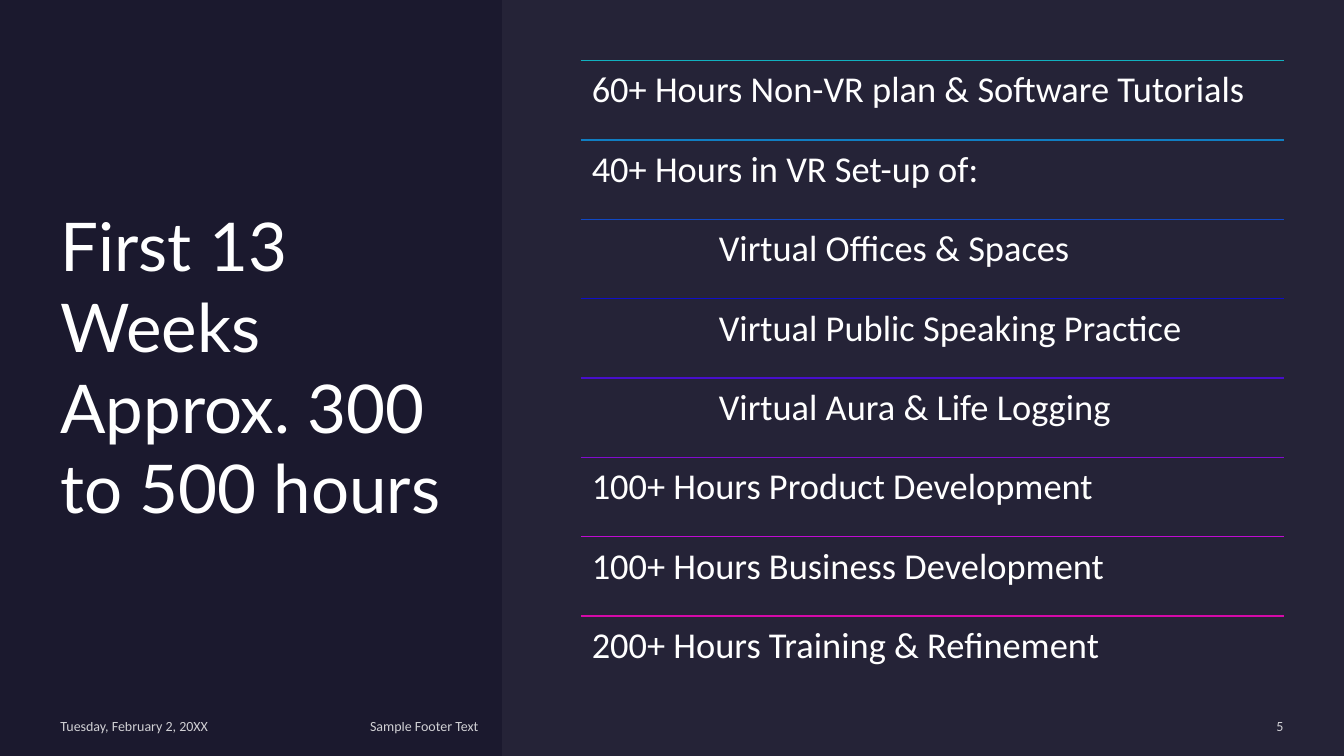
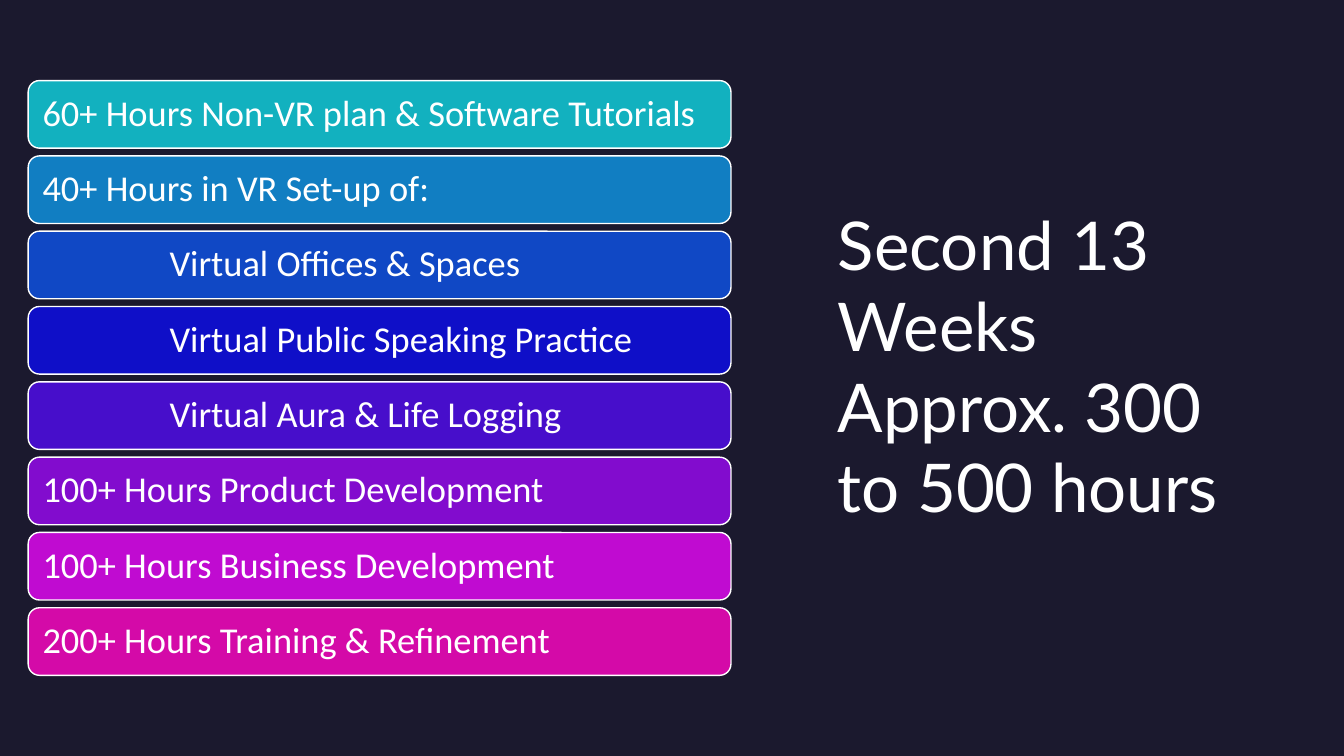
from lxml.etree import SubElement
from pptx import Presentation
from pptx.dml.color import RGBColor
from pptx.enum.shapes import MSO_CONNECTOR as Connector, MSO_SHAPE as Shape
from pptx.enum.text import MSO_ANCHOR as Anchor, PP_ALIGN as Align
from pptx.oxml.ns import qn
from pptx.util import Inches, Pt

NAVY, LAVENDER, WHITE = "1B192E", "E4E3F0", "FFFFFF"
TITLE_FONT, BODY_FONT = "Lato", "Calibri"
SUB_INDENT = 1.26

# Activity, rule or bar colour, whether it is a sub-item
ACTIVITIES = [
    ("60+ Hours Non-VR plan & Software Tutorials", "12B1BF", False),
    ("40+ Hours in VR Set-up of:", "117EC2", False),
    ("Virtual Offices & Spaces", "1048C5", True),
    ("Virtual Public Speaking Practice", "0F0FC8", True),
    ("Virtual Aura & Life Logging", "470ECB", True),
    ("100+ Hours Product Development", "820CCE", False),
    ("100+ Hours Business Development", "C00BD1", False),
    ("200+ Hours Training & Refinement", "D40AA8", False),
]


def color(hex_code):
    return RGBColor.from_string(hex_code)


def set_opacity(shape, percent):
    for node in shape.element.iter(qn("a:srgbClr")):
        SubElement(node, qn("a:alpha"), val=str(percent * 1000))


def write(shape, text, size, font=BODY_FONT, anchor=Anchor.MIDDLE,
          align=Align.LEFT, inset=(0, 0), spacing=None, indent=0):
    """Put one styled paragraph in a shape; inset is (sides, top and bottom)."""
    frame = shape.text_frame
    frame.word_wrap = True
    frame.vertical_anchor = anchor
    frame.margin_left = frame.margin_right = Inches(inset[0])
    frame.margin_top = frame.margin_bottom = Inches(inset[1])
    frame.text = text
    para = frame.paragraphs[0]
    para.alignment = align
    if spacing:
        para.line_spacing = spacing
    if indent:
        properties = para._p.get_or_add_pPr()
        properties.set("marL", str(Inches(indent)))
        properties.set("indent", "0")
    for span in para.runs:
        span.font.size = Pt(size)
        span.font.name = font
        span.font.color.rgb = color(WHITE)


def add_text(page, box, text, size, **style):
    shape = page.shapes.add_textbox(*map(Inches, box))
    write(shape, text, size, **style)
    return shape


def add_block(page, kind, box, fill):
    block = page.shapes.add_shape(kind, *map(Inches, box))
    block.shadow.inherit = False
    block.fill.solid()
    block.fill.fore_color.rgb = color(fill)
    block.line.fill.background()
    return block


def add_page(deck):
    page = deck.slides.add_slide(deck.slide_layouts[6])
    page.background.fill.solid()
    page.background.fill.fore_color.rgb = color(NAVY)
    return page


def add_title(page, box, text):
    add_text(page, box, text, 48, font=TITLE_FONT)


def add_footer(page, top, number):
    for left, width, text, align in [
        (0.6, 2.88, "Tuesday, February 2, 20XX", Align.LEFT),
        (3.67, 6.98, "Sample Footer Text", Align.LEFT),
        (10.88, 1.85, number, Align.RIGHT),
    ]:
        note = add_text(page, (left, top, width, 0.17), text, 10, align=align)
        set_opacity(note, 80)


def add_ruled_list(page, box):
    """Rows of equal height, each under a coloured rule."""
    left, top, width, height = box
    row_height = height / len(ACTIVITIES)
    for index, (text, hue, is_sub) in enumerate(ACTIVITIES):
        y = top + index * row_height
        rule = page.shapes.add_connector(
            Connector.STRAIGHT, Inches(left), Inches(y), Inches(left + width), Inches(y))
        rule.line.color.rgb = color(hue)
        rule.line.width = Pt(1)
        SubElement(rule.element.spPr, qn("a:effectLst"))
        add_text(page, (left, y, width, row_height), text, 26, anchor=Anchor.TOP,
                 inset=(0.11, 0.11), spacing=0.9, indent=SUB_INDENT * is_sub)


def add_bar_list(page, box, bar_height=0.67):
    """Rounded bars spread evenly from the top to the bottom of the box."""
    left, top, width, height = box
    pitch = (height - bar_height) / (len(ACTIVITIES) - 1)
    for index, (text, hue, is_sub) in enumerate(ACTIVITIES):
        bar = add_block(page, Shape.ROUNDED_RECTANGLE,
                        (left, top + index * pitch, width, bar_height), hue)
        bar.line.color.rgb = color(WHITE)
        bar.line.width = Pt(1)
        write(bar, text, 26, inset=(0.11, 0.11), spacing=0.9,
              indent=SUB_INDENT * is_sub)


def build_first_weeks(deck):
    page = add_page(deck)
    panel = add_block(page, Shape.RECTANGLE, (4.98, 0, 8.36, 7.5), LAVENDER)
    set_opacity(panel, 5)
    add_title(page, (0.6, 0.6, 3.9, 6.06), "First 13 Weeks\vApprox. 300 to 500 hours")
    add_ruled_list(page, (5.76, 0.6, 6.97, 6.3))
    add_footer(page, 7.12, "5")


def build_second_weeks(deck):
    page = add_page(deck)
    add_title(page, (8.31, 0.59, 3.9, 6.06), "Second 13 Weeks\vApprox. 300 to 500 hours")
    add_bar_list(page, (0.28, 0.8, 6.97, 5.9))


def main():
    deck = Presentation()
    deck.slide_width, deck.slide_height = Inches(13.33), Inches(7.5)
    build_first_weeks(deck)
    build_second_weeks(deck)
    deck.save("out.pptx")


if __name__ == "__main__":
    main()
